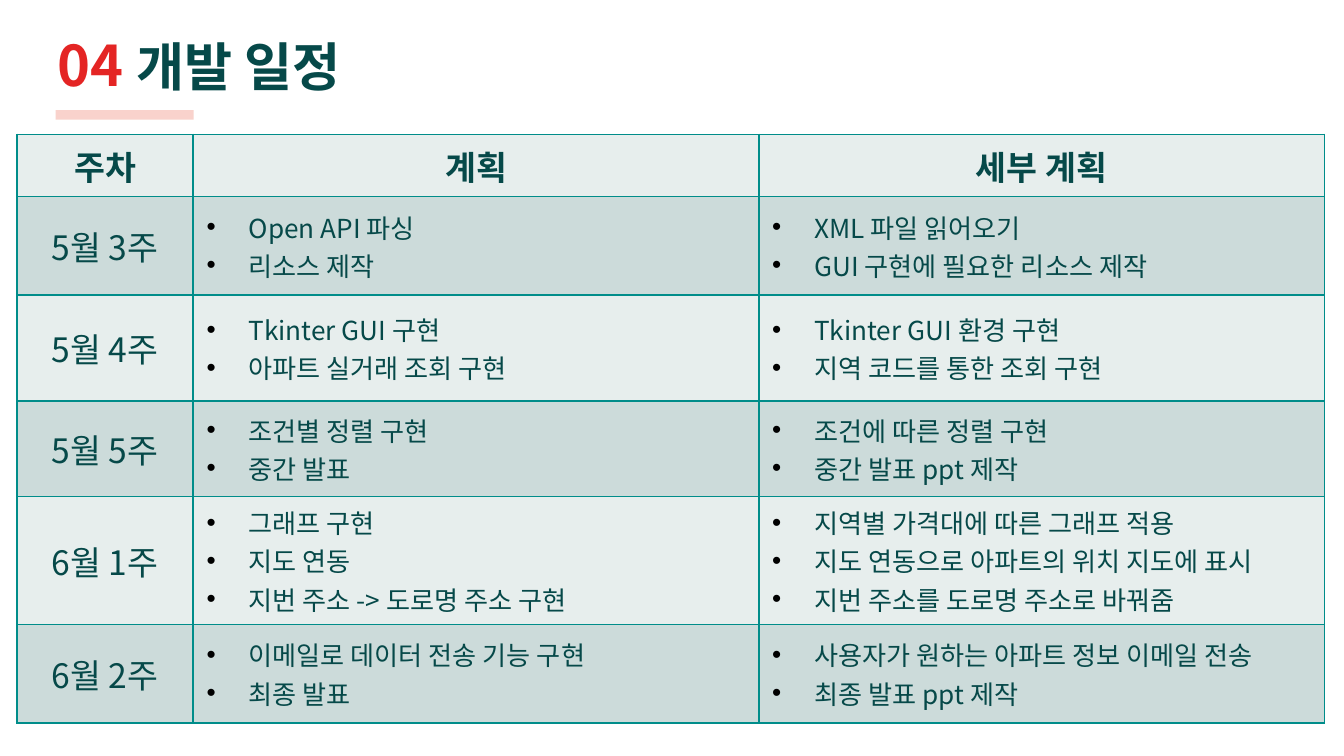
from dataclasses import dataclass

from lxml.etree import SubElement
from pptx import Presentation
from pptx.dml.color import RGBColor
from pptx.enum.shapes import MSO_SHAPE as Shape
from pptx.enum.text import MSO_ANCHOR as Anchor, MSO_AUTO_SIZE as AutoSize, PP_ALIGN as Align
from pptx.oxml.ns import qn
from pptx.util import Pt

FONT = "Noto Sans CJK KR"
COLORS = {
    "number": "E42524",
    "text": "064949",
    "underline": "F4AA9E",
    "border": "008D8A",
    "light": "E7EEED",
    "dark": "CCDBDA",
    "bullet": "000000",
}
COLUMN_WIDTHS = (94.5, 303, 303)
HEADER_HEIGHT = 32.8
HEADINGS = ("주차", "계획", "세부 계획")


@dataclass
class Week:
    name: str
    height: float
    plans: tuple[str, ...]
    details: tuple[str, ...]


WEEKS = (
    Week("5월 3주", 52.8, ("Open API 파싱", "리소스 제작"),
         ("XML 파일 읽어오기", "GUI 구현에 필요한 리소스 제작")),
    Week("5월 4주", 56.8, ("Tkinter GUI 구현", "아파트 실거래 조회 구현"),
         ("Tkinter GUI 환경 구현", "지역 코드를 통한 조회 구현")),
    Week("5월 5주", 51.2, ("조건별 정렬 구현", "중간 발표"),
         ("조건에 따른 정렬 구현", "중간 발표 ppt 제작")),
    Week("6월 1주", 52.8, ("그래프 구현", "지도 연동", "지번 주소 -> 도로명 주소 구현"),
         ("지역별 가격대에 따른 그래프 적용", "지도 연동으로 아파트의 위치 지도에 표시",
          "지번 주소를 도로명 주소로 바꿔줌")),
    Week("6월 2주", 52.8, ("이메일로 데이터 전송 기능 구현", "최종 발표"),
         ("사용자가 원하는 아파트 정보 이메일 전송", "최종 발표 ppt 제작")),
)


def color(name: str) -> RGBColor:
    return RGBColor.from_string(COLORS[name])


def style_font(font, size: float, color_name: str, bold: bool) -> None:
    font.size = Pt(size)
    font.bold = bold
    font.color.rgb = color(color_name)
    font.name = FONT


def add_east_asian_font(element) -> None:
    """Give every Latin typeface inside the element an East Asian twin."""
    for latin in list(element.iter(qn("a:latin"))):
        twin = latin.makeelement(qn("a:ea"), {"typeface": FONT})
        latin.addnext(twin)


def add_solid_fill(parent, color_name: str):
    fill = SubElement(parent, qn("a:solidFill"))
    return SubElement(fill, qn("a:srgbClr"), val=COLORS[color_name])


def add_bullet(para) -> None:
    properties = para._p.get_or_add_pPr()
    properties.set("marL", str(Pt(22.5)))
    properties.set("indent", str(Pt(-22.5)))
    bullet_color = SubElement(properties, qn("a:buClr"))
    SubElement(bullet_color, qn("a:srgbClr"), val=COLORS["bullet"])
    SubElement(properties, qn("a:buFont"), typeface="Arial")
    SubElement(properties, qn("a:buChar"), char="•")


def style_cell(cell, fill_name: str) -> None:
    properties = cell._tc.get_or_add_tcPr()
    for side in ("lnL", "lnR", "lnT", "lnB"):
        add_solid_fill(SubElement(properties, qn(f"a:{side}"), w=str(Pt(1))), "border")
    cell.fill.solid()
    cell.fill.fore_color.rgb = color(fill_name)
    cell.vertical_anchor = Anchor.MIDDLE


def write_label(cell, text: str, bold: bool) -> None:
    cell.text = text
    para = cell.text_frame.paragraphs[0]
    para.alignment = Align.CENTER
    style_font(para.font, 18, "text", bold)


def write_list(cell, items: tuple[str, ...]) -> None:
    cell.text = "\n".join(items)
    for para in cell.text_frame.paragraphs:
        para.alignment = Align.JUSTIFY
        add_bullet(para)
        style_font(para.font, 14, "text", False)


def write_title(title) -> None:
    title.left, title.top, title.width, title.height = Pt(23.8), Pt(13), Pt(671), Pt(45.4)
    frame = title.text_frame
    frame.auto_size = AutoSize.NONE
    frame.word_wrap = True
    frame.vertical_anchor = Anchor.TOP
    frame.margin_left = frame.margin_right = Pt(7.2)
    frame.margin_top = frame.margin_bottom = Pt(7.2)
    para = frame.paragraphs[0]
    para.alignment = Align.LEFT
    para.line_spacing = 0.9
    for text, size, color_name in (("04 ", 30, "number"), ("개발 일정", 28, "text")):
        span = para.add_run()
        span.text = text
        style_font(span.font, size, color_name, True)
    add_east_asian_font(title._element)


def draw_underline(page) -> None:
    bar = page.shapes.add_shape(Shape.RECTANGLE, Pt(29.8), Pt(59), Pt(74), Pt(5.2))
    bar.shadow.inherit = False
    bar.line.fill.background()
    bar.fill.solid()
    bar.fill.fore_color.rgb = color("underline")
    fill_color = bar._element.spPr.find(qn("a:solidFill"))[0]
    SubElement(fill_color, qn("a:alpha"), val="52000")


def draw_schedule(page, weeks: tuple[Week, ...]) -> None:
    heights = [HEADER_HEIGHT] + [week.height for week in weeks]
    frame = page.shapes.add_table(
        len(heights), len(COLUMN_WIDTHS),
        Pt(9), Pt(72), Pt(sum(COLUMN_WIDTHS)), Pt(sum(heights)))
    table = frame.table
    for column, width in zip(table.columns, COLUMN_WIDTHS):
        column.width = Pt(width)
    for index, (row, height) in enumerate(zip(table.rows, heights)):
        row.height = Pt(height)
        for cell in row.cells:
            style_cell(cell, "dark" if index % 2 else "light")
    for cell, heading in zip(table.rows[0].cells, HEADINGS):
        write_label(cell, heading, bold=True)
    for index, week in enumerate(weeks, start=1):
        write_label(table.cell(index, 0), week.name, bold=False)
        write_list(table.cell(index, 1), week.plans)
        write_list(table.cell(index, 2), week.details)
    add_east_asian_font(frame._element)


def main() -> None:
    deck = Presentation()
    deck.slide_width, deck.slide_height = Pt(720), Pt(405)
    page = deck.slides.add_slide(deck.slide_layouts[5])
    write_title(page.shapes.title)
    draw_underline(page)
    draw_schedule(page, WEEKS)
    deck.save("out.pptx")


if __name__ == "__main__":
    main()
